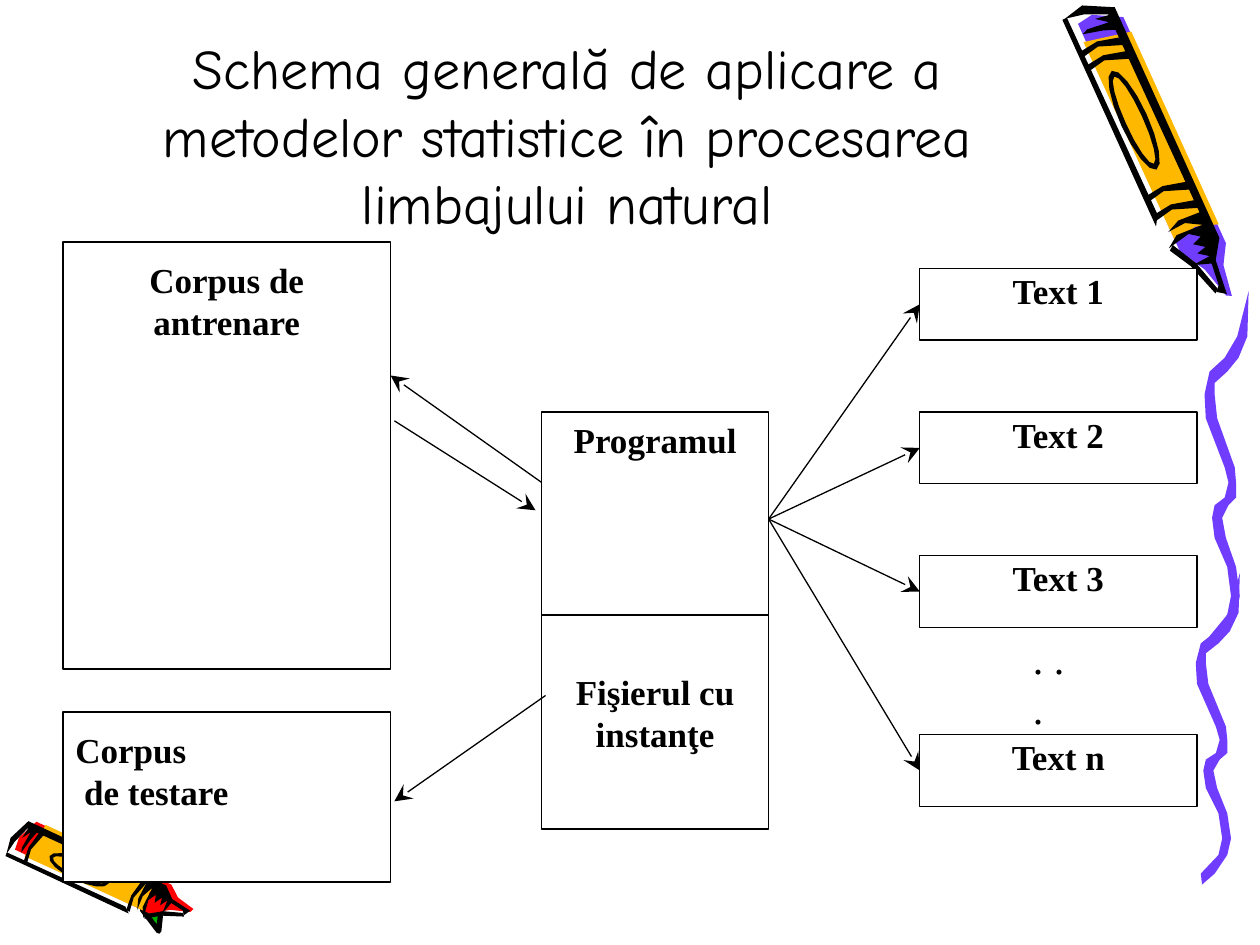
from math import cos, pi, radians, sin

from lxml.etree import SubElement
from pptx import Presentation
from pptx.dml.color import RGBColor
from pptx.enum.shapes import MSO_CONNECTOR, MSO_SHAPE
from pptx.enum.text import MSO_ANCHOR, PP_ALIGN
from pptx.oxml.ns import qn
from pptx.util import Inches, Pt

BLACK, WHITE, PURPLE, AMBER = "000000", "FFFFFF", "703DFF", "FFB800"
RED, GREEN = "FF0000", "00B200"
SERIF = "Times New Roman"
CENTER, LEFT = PP_ALIGN.CENTER, PP_ALIGN.LEFT

# Crayon parts as (along, across) inches from the back left corner
LEAD = [(0.08, 0.08), (0.06, 0.21), (0.18, 0.43), (2.15, 0.43), (2.3, 0.34),
        (2.55, 0.3), (2.53, 0.26), (2.27, 0.19), (2.06, 0.07)]
WRAPPER = [(0.23, 0.06), (0.31, 0.44), (1.99, 0.44), (1.93, 0.26), (1.98, 0.07)]
BACK_CAP = [(0.17, 0.08), (0.21, 0.24), (0.26, 0.37), (0.12, 0.35), (0.1, 0.22),
            (0.17, 0.31), (0.15, 0.13)]
LEFT_EDGE = [(0, -0.02), (1.8, -0.02), (1.72, 0.03), (0, 0.02)]
NIB_EDGE = [(2.02, 0), (2.2, 0.1), (2.48, 0.19), (2.45, 0.22), (2.2, 0.15), (1.99, 0.04)]
BAND = [(0.05, 0), (0.02, 0.15), (0.1, 0.36), (0.03, 0.36), (-0.02, 0.16), (0, 0)]
# The right edge runs from the back to the nib; the teeth lead back from there
RIGHT_EDGE = [(0.11, 0.33), (0.03, 0.15), (0, 0), (-0.04, 0.17), (0.08, 0.4),
              (2.09, 0.4), (2.24, 0.3), (2.52, 0.27), (2.47, 0.2), (2.43, 0.24),
              (2.25, 0.26), (2.2, 0.12)]
NIB_TEETH = [point for along in (2.19, 2.11, 2.02)
             for point in ((along, 0.27), (along - 0.06, 0.19))]
WRAPPER_TEETH = [(2, 0), (1.93, 0.1), (1.94, 0.32), (1.87, 0.2), (1.88, 0.05),
                 (1.83, 0.16), (1.84, 0.34)]

# Squiggle ribbon, from the top: (down, left edge, right edge)
RIBBON = [(0, 0.35, 0.35), (0.36, 0.26, 0.34), (0.53, 0.16, 0.27), (0.64, 0.04, 0.18),
          (0.73, 0.02, 0.08), (0.82, 0, 0.08), (1.01, 0.01, 0.1), (1.4, 0.16, 0.24),
          (1.52, 0.19, 0.25), (1.64, 0.16, 0.25), (1.7, 0.08, 0.19), (1.8, 0.06, 0.14),
          (1.96, 0.08, 0.17), (2.19, 0.18, 0.25), (2.42, 0.21, 0.28), (2.57, 0.18, 0.25),
          (2.74, 0.04, 0.15), (2.84, 0.05, 0.05)]


def color(hex_value):
    return RGBColor.from_string(hex_value)


def paint(shape, fill, line_width=0):
    """Fill a shape; give it a black line if it has a line width."""
    shape.shadow.inherit = False
    shape.fill.solid()
    shape.fill.fore_color.rgb = color(fill)
    if line_width:
        shape.line.color.rgb = color(BLACK)
        shape.line.width = Pt(line_width)
    else:
        shape.line.fill.background()


def set_font(run, **values):
    for name, value in values.items():
        setattr(run.font, name, value)
    run.font.color.rgb = color(BLACK)


def fill_text(shape, lines, align, top_inset, space_before=0, **font):
    """Write one paragraph per line; space_before parts the later ones."""
    frame = shape.text_frame
    frame_format = {
        "word_wrap": True, "vertical_anchor": MSO_ANCHOR.TOP,
        "margin_left": Inches(0.1), "margin_right": Inches(0.1),
        "margin_top": Inches(top_inset), "margin_bottom": Inches(0.05),
    }
    for name, value in frame_format.items():
        setattr(frame, name, value)
    for index, line in enumerate(lines):
        paragraph = frame.add_paragraph() if index else frame.paragraphs[0]
        paragraph.alignment = align
        if index:
            paragraph.space_before = Pt(space_before)
        run = paragraph.add_run()
        run.text = line
        set_font(run, name=SERIF, **font)


def add_outline(slide, points, fill, line_width=0):
    corners = [(Inches(x), Inches(y)) for x, y in points]
    builder = slide.shapes.build_freeform(*corners[0])
    builder.add_line_segments(corners[1:], close=True)
    paint(builder.convert_to_shape(), fill, line_width)


def ellipse(half_length, half_width, direction=1, steps=16):
    """Points of the oval label, centred on the wrapper."""
    angles = [direction * 2 * pi * step / steps for step in range(steps + 1)]
    return [(0.96 + half_length * cos(angle), 0.17 + half_width * sin(angle))
            for angle in angles]


def add_crayon(slide, corner, angle, lead, bands, length_scale=1, width_scale=1):
    """Draw a crayon that points along an angle, from its back left corner."""
    cosine, sine = cos(radians(angle)), sin(radians(angle))

    def place(point):
        along, across = point[0] * length_scale, point[1] * width_scale
        return (corner[0] + along * cosine + across * sine,
                corner[1] + along * sine - across * cosine)

    label = ellipse(0.43, 0.11) + ellipse(0.38, 0.07, direction=-1)
    stripes = [[(along + start, across) for along, across in BAND] for start in bands]
    ink = [BACK_CAP, LEFT_EDGE, NIB_EDGE, label, *stripes,
           RIGHT_EDGE + NIB_TEETH + WRAPPER_TEETH]
    parts = [(LEAD, lead), (WRAPPER, AMBER)] + [(part, BLACK) for part in ink]
    for points, fill in parts:
        add_outline(slide, [place(point) for point in points], fill)


def add_squiggle(slide, left, top, height_scale=1):
    """Go down the ribbon's left edge and back up its right edge."""
    left_side = [(left + x, top + y * height_scale) for y, x, _ in RIBBON]
    right_side = [(left + x, top + y * height_scale) for y, _, x in RIBBON]
    add_outline(slide, left_side + right_side[::-1], PURPLE)


def add_box(slide, place, lines, align=CENTER, top_inset=0.05, space_before=0):
    box = slide.shapes.add_shape(MSO_SHAPE.RECTANGLE, *map(Inches, place))
    paint(box, WHITE, 0.75)
    fill_text(box, lines, align, top_inset, space_before, size=Pt(20), bold=True)
    return box


def add_line(slide, start, end, arrow=False, target=None):
    """Draw a line; a target box is joined at the middle of its left side."""
    line = slide.shapes.add_connector(
        MSO_CONNECTOR.STRAIGHT, *map(Inches, (*start, *end)))
    line.line.color.rgb = color(BLACK)
    line.line.width = Pt(0.75)
    if arrow:
        outline = line._element.spPr.find(qn("a:ln"))
        SubElement(outline, qn("a:tailEnd"), type="stealth", w="lg", len="lg")
    SubElement(line._element.spPr, qn("a:effectLst"))
    if target is not None:
        line.end_connect(target, 1)


def add_title(slide, text):
    title = slide.shapes.title
    place = {"left": 0.75, "top": 0.17, "width": 7.51, "height": 1.75}
    for name, value in place.items():
        setattr(title, name, Inches(value))
    title.text_frame.vertical_anchor = MSO_ANCHOR.BOTTOM
    paragraph = title.text_frame.paragraphs[0]
    paragraph.alignment = CENTER
    run = paragraph.add_run()
    run.text = text
    set_font(run, name="Comic Neue", size=Pt(32))


def main():
    presentation = Presentation()
    presentation.slide_width, presentation.slide_height = Inches(10), Inches(7.5)
    slide = presentation.slides.add_slide(presentation.slide_layouts[5])

    # Decoration: two crayons, a green tip and the squiggle in two lengths
    add_crayon(slide, (8.45, 0.15), 65.6, PURPLE, bands=(0.29, 0.41, 1.55, 1.71))
    add_outline(slide, [(1.13, 7.22), (1.26, 7.39), (1.28, 7.2)], GREEN, 3)
    add_crayon(slide, (0.05, 6.78), 25, RED, bands=(0.25, 1.75),
               length_scale=0.6, width_scale=0.78)
    add_squiggle(slide, 9.49, 4.55, height_scale=0.87)
    add_squiggle(slide, 9.56, 2.31)

    add_title(slide, "Schema generală de aplicare a metodelor statistice "
                     "în procesarea limbajului natural")

    # Corpora and program
    add_box(slide, (0.5, 1.92, 2.6, 3.39), ["Corpus de antrenare"], top_inset=0.13)
    add_box(slide, (0.5, 5.65, 2.6, 1.35), ["Corpus", " de testare"], LEFT, 0.13)
    add_box(slide, (4.3, 3.27, 1.8, 3.31), ["Programul", "Fişierul cu instanţe"],
            space_before=120)
    add_line(slide, (4.3, 4.88), (6.1, 4.88))

    # Texts, each reached by an arrow from the program
    for label, top in zip("123n", (2.13, 3.27, 4.41, 5.83)):
        box = add_box(slide, (7.3, top, 2.2, 0.57), [f"Text {label}"], top_inset=0.01)
        add_line(slide, (6.1, 4.12), (7.3, top + 0.28), arrow=True, target=box)
    dots = slide.shapes.add_textbox(*map(Inches, (8.1, 4.97, 0.6, 0.86)))
    fill_text(dots, [". . ."], LEFT, 0.05, size=Pt(24))

    # Arrows between corpora and program
    for start, end in (((4.3, 3.83), (3.1, 2.98)),
                       ((3.13, 3.34), (4.25, 4.05)),
                       ((4.33, 5.52), (3.13, 6.36))):
        add_line(slide, start, end, arrow=True)

    presentation.save("out.pptx")


if __name__ == "__main__":
    main()
